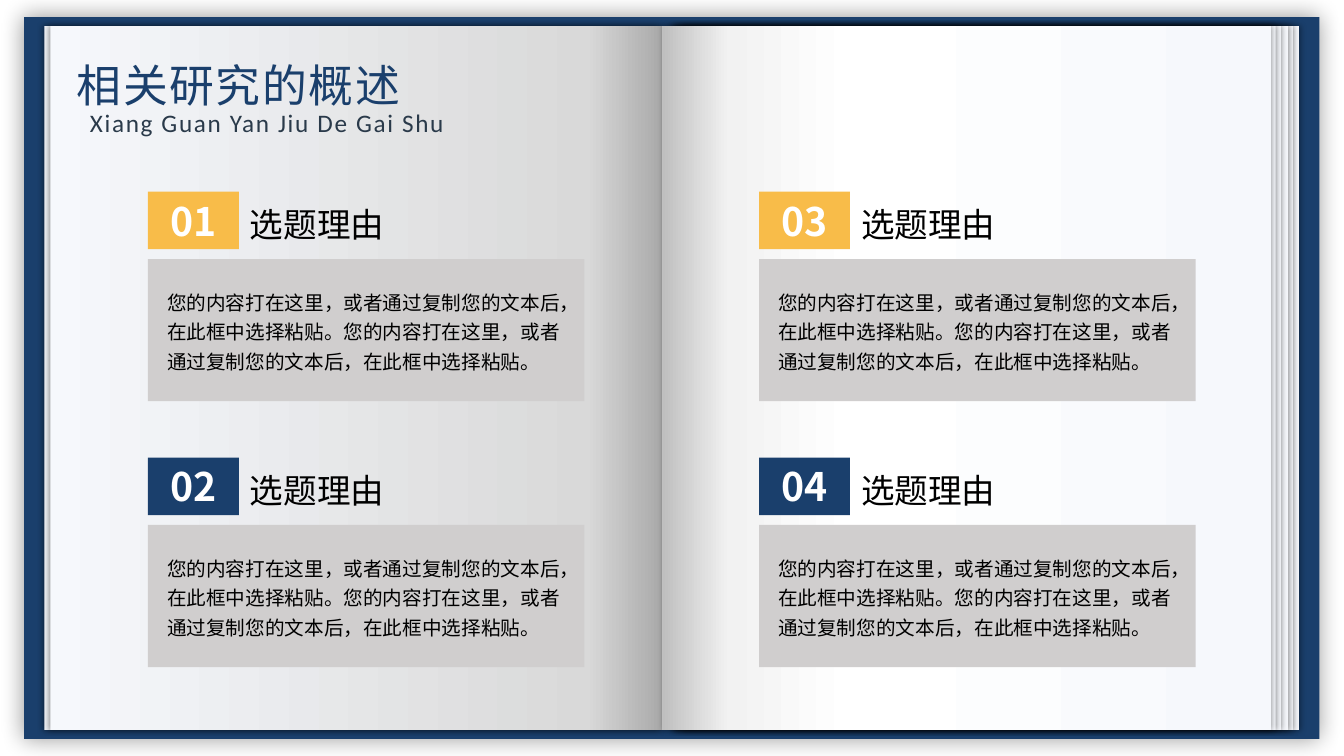
from lxml import etree
from pptx import Presentation
from pptx.dml.color import RGBColor
from pptx.enum.shapes import MSO_SHAPE as Shape
from pptx.enum.text import MSO_ANCHOR as Anchor, MSO_AUTO_SIZE as Fit, PP_ALIGN as Align
from pptx.oxml import parse_xml
from pptx.oxml.ns import qn
from pptx.util import Cm, Pt

NAVY = RGBColor(0x1A, 0x3F, 0x6C)
SLATE = RGBColor(0x2A, 0x3A, 0x4A)
GOLD = RGBColor(0xF8, 0xBC, 0x49)
GREY = RGBColor(0xD0, 0xCE, 0xCE)
WHITE = RGBColor(0xFF, 0xFF, 0xFF)
BLACK = RGBColor(0, 0, 0)

ICE = RGBColor(0xF6, 0xF8, 0xFC)
MIST = RGBColor(0xF2, 0xF2, 0xF2)
PALE = RGBColor(0xD9, 0xD9, 0xD9)
MID = RGBColor(0xBF, 0xBF, 0xBF)
DARK = RGBColor(0xA6, 0xA6, 0xA6)

NOTO = "Noto Sans CJK SC"
A = 'xmlns:a="http://schemas.openxmlformats.org/drawingml/2006/main"'
BODY = "您的内容打在这里，或者通过复制您的文本后，在此框中选择粘贴。" * 2

deck = Presentation()
deck.slide_width, deck.slide_height = Cm(33.87), Cm(19.05)
slide = deck.slides.add_slide(deck.slide_layouts[6])


def panel(box, fill, blur=0, dist=0, turn=0):
    """Add a borderless rectangle; fill is a colour or a list of gradient stops."""
    item = slide.shapes.add_shape(Shape.RECTANGLE, *map(Cm, box))
    item.line.fill.background()
    item.shadow.inherit = False
    if isinstance(fill, RGBColor):
        item.fill.solid()
        item.fill.fore_color.rgb = fill
    else:
        stops = "".join(f'<a:gs pos="{pos * 1000}"><a:srgbClr val="{tone}"/></a:gs>'
                        for pos, tone in fill)
        item._element.spPr.find(qn("a:prstGeom")).addnext(parse_xml(
            f'<a:gradFill {A} rotWithShape="1"><a:gsLst>{stops}</a:gsLst>'
            '<a:lin ang="0" scaled="0"/></a:gradFill>'))
    if blur:
        item._element.spPr.find(qn("a:effectLst")).append(parse_xml(
            f'<a:outerShdw {A} blurRad="{Pt(blur)}" dist="{Pt(dist)}" dir="{turn * 60000}"'
            ' algn="ctr" rotWithShape="0"><a:srgbClr val="000000">'
            '<a:alpha val="40000"/></a:srgbClr></a:outerShdw>'))
    return item


def write(text, tone, form, box=None, item=None, align=Align.LEFT, lead=None, gap=0):
    """Put one paragraph into item, or into a new text box."""
    frame = (item or slide.shapes.add_textbox(*map(Cm, box))).text_frame
    frame.word_wrap = True
    if item:
        frame.vertical_anchor = Anchor.MIDDLE
    else:
        frame.auto_size = Fit.SHAPE_TO_FIT_TEXT
    para = frame.paragraphs[0]
    para.alignment, para.line_spacing = align, lead
    run = para.add_run()
    run.text = text
    for key, val in form.items():
        setattr(run.font, key, val)
    run.font.color.rgb = tone
    props = run.font._element
    etree.SubElement(props, qn("a:ea")).set("typeface", form["name"])
    if gap:
        props.set("spc", str(round(gap * 100)))


# Book cover and pages
panel((0.61, 0.43, 32.64, 18.19), NAVY, blur=16)

shade = [(0, ICE), (87, PALE), (100, DARK)]
sheet = [(0, ICE), (62, WHITE), (89, MIST), (100, PALE)]
leaf = [(0, ICE), (69, WHITE), (89, MIST), (100, MID)]
WIDE, SLIM = 15.54, 15.34
for left, width, stops, side in [
    (17.2, WIDE, shade, "right"),
    (17.04, WIDE, shade, "right"),
    (16.92, WIDE, sheet, "right"),
    (16.94, SLIM, leaf, "right"),
    (1.12, WIDE, shade, "left"),
    (1.27, WIDE, shade, "left"),
    (16.81, SLIM, leaf, "right"),
    (16.69, SLIM, leaf, "right"),
]:
    page = panel((left, 0.66, width, 17.73), stops, 4, 1, 180 if side == "left" else 0)
    page.rotation = 180 if side == "right" else 0

# Title
write("相关研究的概述", NAVY, {"name": NOTO, "size": Pt(32)},
      (1.68, 1.32, 9.86, 1.63), gap=1.2)
write("Xiang Guan Yan Jiu De Gai Shu", SLATE, {"name": "Calibri", "size": Pt(18)},
      (1.8, 2.57, 9.86, 1.02), align=Align.CENTER, gap=1.2)

# Four cards, numbered down each page
for num in range(4):
    col, row = divmod(num, 2)
    x, y = 3.73 + 15.4 * col, 4.83 + 6.7 * row
    panel((x, y + 1.7, 11, 3.58), GREY)
    badge = panel((x, y, 2.29, 1.45), (GOLD, NAVY)[row])
    write(f"{num + 1:02}", WHITE, {"name": NOTO, "size": Pt(28), "bold": True},
          item=badge, align=Align.CENTER)
    write("选题理由", BLACK, {"name": NOTO, "size": Pt(24)},
          (x + 2.32, y - 0.06, 4, 1.42), lead=1.25)
    write(BODY, BLACK, {"name": NOTO, "size": Pt(14)},
          (x + 0.23, y + 2.23, 10.87, 2.46), lead=1.25)

deck.save("out.pptx")
